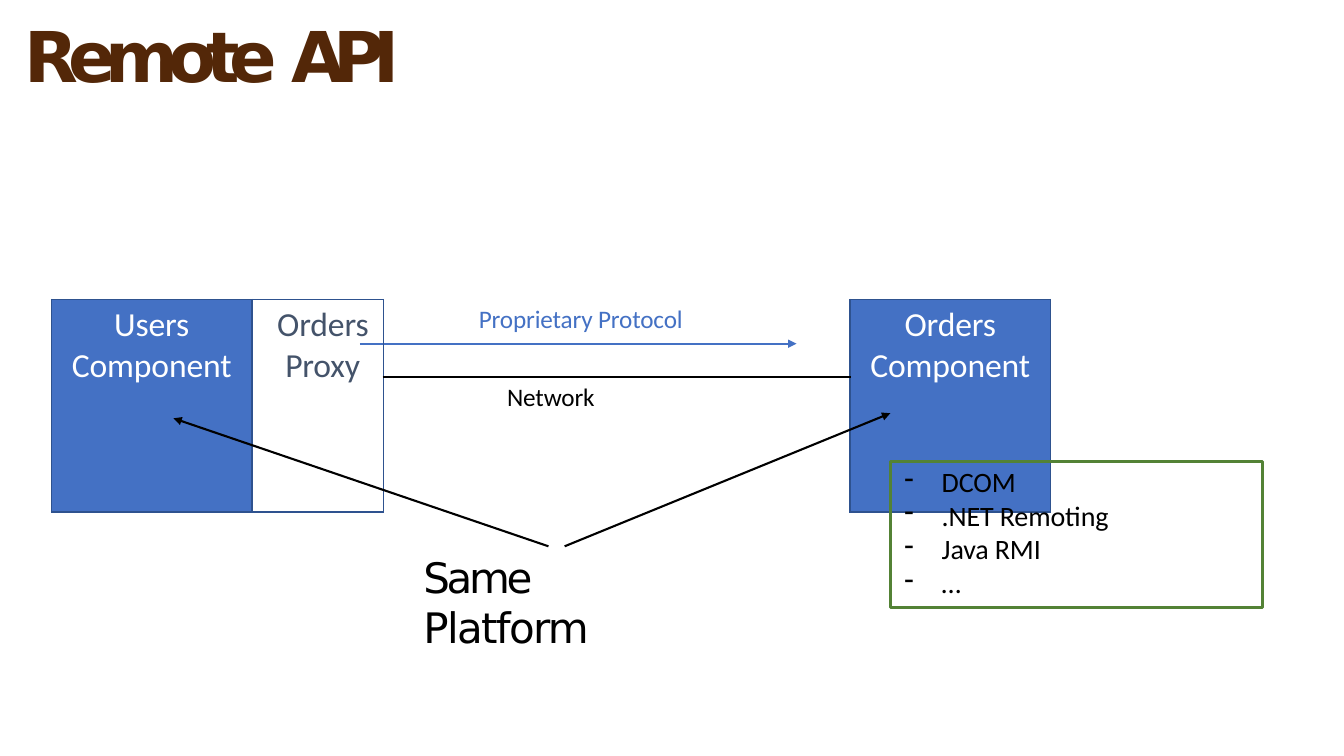
from lxml.etree import SubElement
from pptx import Presentation
from pptx.dml.color import RGBColor
from pptx.enum.shapes import MSO_CONNECTOR as Connector, MSO_SHAPE as Shape
from pptx.enum.text import MSO_ANCHOR as Anchor, MSO_AUTO_SIZE as AutoSize, PP_ALIGN as Align
from pptx.oxml.ns import qn
from pptx.util import Inches, Pt

BLUE, NAVY, SLATE = "4471C4", "2E528F", "44536A"
BROWN, GREEN, BLACK, WHITE = "532708", "538235", "000000", "FFFFFF"
BODY, DISPLAY = "Calibri", "DejaVu Sans"


def rgb(color):
    """Turn a hex string into a colour."""
    return RGBColor.from_string(color)


def add_run(paragraph, text, font, size, color, spacing=0.0, bold=False):
    """Add one formatted run, with letter spacing in points."""
    run = paragraph.add_run()
    run.text = text
    run.font.name, run.font.size, run.font.bold = font, Pt(size), bold
    run.font.color.rgb = rgb(color)
    run._r.get_or_add_rPr().set("spc", str(round(spacing * 100)))


def indent(paragraph, left, first=0):
    """Set the left margin and first-line indent in inches."""
    properties = paragraph._p.get_or_add_pPr()
    properties.set("marL", str(Inches(left)))
    properties.set("indent", str(Inches(first)))
    return properties


def prepare_frame(frame):
    """Strip the insets of a text frame and anchor it at the top."""
    frame.margin_left = frame.margin_right = frame.margin_bottom = 0
    frame.margin_top = Inches(0.01)
    frame.word_wrap = True
    frame.auto_size = AutoSize.NONE
    frame.vertical_anchor = Anchor.TOP
    return frame


def add_text_box(slide, box):
    """Add an empty text box and return its frame."""
    return prepare_frame(slide.shapes.add_textbox(*map(Inches, box)).text_frame)


def add_heading_line(frame, runs, size, color, bold=False):
    """Fill a frame with one display line of (text, spacing) runs."""
    line = frame.paragraphs[0]
    line.alignment, line.space_before, line.line_spacing = Align.LEFT, Pt(1), 1.0
    indent(line, 0.01)
    for text, spacing in runs:
        add_run(line, text, DISPLAY, size, color, spacing, bold)


def add_title(slide, box):
    """Place the slide title."""
    title = slide.shapes.title
    title.left, title.top, title.width, title.height = map(Inches, box)
    runs = [("Remote ", -7.2), ("API", -8.6)]
    add_heading_line(prepare_frame(title.text_frame), runs, 50, BROWN, bold=True)


def add_arrow(slide, start, end, color):
    """Draw a straight arrow between two points."""
    arrow = slide.shapes.add_connector(Connector.STRAIGHT, *map(Inches, start + end))
    arrow.line.color.rgb, arrow.line.width = rgb(color), Pt(1.5)
    SubElement(arrow.line._get_or_add_ln(), qn("a:tailEnd"), type="triangle")
    SubElement(arrow._element.spPr, qn("a:effectLst"))


def set_borders(cell, colors):
    """Draw the left, right, top and bottom borders of a cell."""
    properties = cell._tc.get_or_add_tcPr()
    for position, (side, color) in enumerate(zip("LRTB", colors)):
        width = Pt(2.21 if color == BLACK else 0.96)
        border = SubElement(properties, qn(f"a:ln{side}"), w=str(width))
        properties.insert(position, border)
        if color:
            fill = SubElement(border, qn("a:solidFill"))
            SubElement(fill, qn("a:srgbClr"), val=color)
        else:
            SubElement(border, qn("a:noFill"))


def fill_cell(cell, lines, size, color, before, indents=None):
    """Write lines into a cell, centred unless indents are given."""
    for number, text in enumerate(lines):
        frame = cell.text_frame
        line = frame.add_paragraph() if number else frame.paragraphs[0]
        line.space_before = Pt(0.1 if number else before)
        if indents:
            indent(line, indents[number])
        else:
            line.alignment = Align.CENTER
        add_run(line, text, BODY, size, color, -0.1)


def add_components(slide, box):
    """Lay out the components and the link between them as a table."""
    frame = slide.shapes.add_table(2, 4, *map(Inches, box))
    table = frame.table
    table.first_row = table.horz_banding = False
    for column, width in zip(table.columns, (1.99, 1.3, 4.63, 1.99)):
        column.width = Inches(width)
    for row, height in zip(table.rows, (0.77, 1.34)):
        row.height = Inches(height)

    for column in range(4):
        link = column == 2
        for row in range(2):
            cell = table.cell(row, column)
            outer, inner = (None, BLACK) if link else (NAVY, NAVY)
            edges = (inner, outer) if row else (outer, inner)
            set_borders(cell, (NAVY, NAVY) + edges)
            if column in (0, 3):
                cell.fill.solid()
                cell.fill.fore_color.rgb = rgb(BLUE)
            else:
                cell.fill.background()
        if not link:
            table.cell(0, column).merge(table.cell(1, column))

    for column, owner in ((0, "Users"), (3, "Orders")):
        fill_cell(table.cell(0, column), (owner, "Component"), 24, WHITE, 9.9)
    fill_cell(table.cell(0, 1), ("Orders", "Proxy"), 24, SLATE, 9.9, (0.15, 0.23))
    fill_cell(table.cell(0, 2), ("Proprietary Protocol",), 18, BLUE, 2.4, (0.85,))
    fill_cell(table.cell(1, 2), ("Network",), 18, BLACK, 2.4, (1.13,))


def add_platform(slide, box):
    """Place the platform label with its arrows to both components."""
    left, top = box[:2]
    runs = [("Same ", -2.4), ("Platform", -1.2)]
    add_heading_line(add_text_box(slide, box), runs, 30, BLACK)
    tail = top - 0.04
    add_arrow(slide, (left + 1.25, tail), (left - 2.47, top - 1.31), BLACK)
    add_arrow(slide, (left + 1.41, tail), (left + 4.64, top - 1.36), BLACK)


def add_technologies(slide, box):
    """List the remoting technologies in a green outline."""
    left, top, width, height = box
    frame = add_text_box(slide, (left + 0.14, top + 0.02, width - 0.61, height - 0.1))
    for number, name in enumerate(("DCOM", ".NET Remoting", "Java RMI", "…")):
        item = frame.add_paragraph() if number else frame.paragraphs[0]
        item.space_before = Pt(0 if number else 1.1)
        SubElement(indent(item, 0.37, -0.37), qn("a:buChar"), char="-")
        add_run(item, name, BODY, 20, BLACK, -0.1)
    outline = slide.shapes.add_shape(Shape.RECTANGLE, *map(Inches, box))
    outline.shadow.inherit = False
    outline.fill.background()
    outline.line.color.rgb, outline.line.width = rgb(GREEN), Pt(2.25)


def main():
    """Build and save the slide."""
    deck = Presentation()
    deck.slide_width, deck.slide_height = Inches(13.33), Inches(7.5)
    slide = deck.slides.add_slide(deck.slide_layouts[5])
    add_title(slide, (0.23, 0.11, 5.68, 1.68))
    add_arrow(slide, (3.57, 3.41), (7.9, 3.41), BLUE)
    add_components(slide, (0.51, 2.97, 9.91, 2.11))
    add_platform(slide, (4.19, 5.46, 2.83, 1.01))
    add_technologies(slide, (8.83, 4.58, 3.69, 1.45))
    deck.save("out.pptx")


if __name__ == "__main__":
    main()
